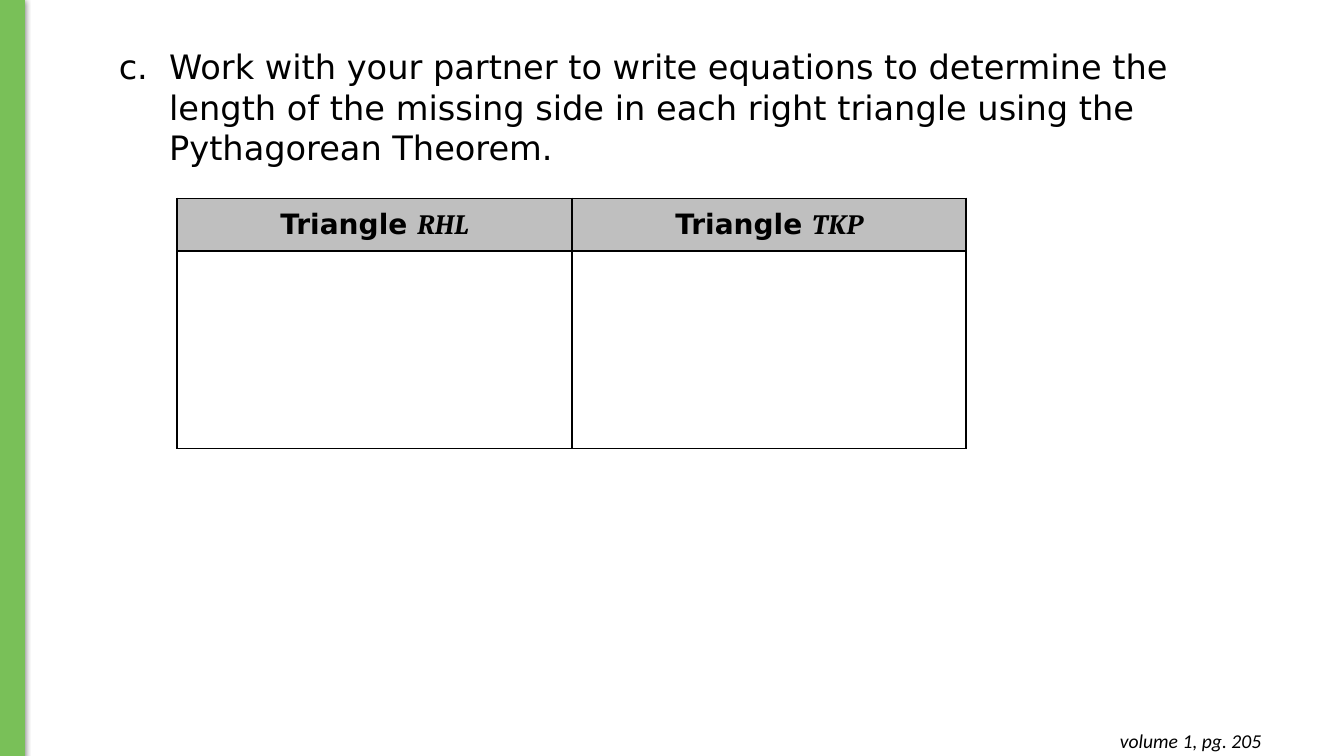
from dataclasses import dataclass

from lxml import etree
from pptx import Presentation
from pptx import util as u
from pptx.dml.color import RGBColor
from pptx.enum import shapes, text
from pptx.oxml import parse_xml
from pptx.oxml.ns import nsdecls, qn

WIDTH, HEIGHT = u.Inches(13.33), u.Inches(7.5)
BLACK = RGBColor(0x00, 0x00, 0x00)
GREEN = RGBColor(0x79, 0xC0, 0x58)
GREY = RGBColor(0xBF, 0xBF, 0xBF)
BODY_FONT, MATH_FONT, FOOTER_FONT = "DejaVu Sans", "Cambria", "Calibri"


@dataclass(frozen=True)
class Area:
    """A rectangle in percent of the slide's width and height."""
    left: float
    top: float
    width: float
    height: float

    def lengths(self) -> tuple[int, int, int, int]:
        return (int(WIDTH * self.left / 100), int(HEIGHT * self.top / 100),
                int(WIDTH * self.width / 100), int(HEIGHT * self.height / 100))


@dataclass(frozen=True)
class Span:
    words: str
    font: str
    size: float
    bold: bool = False
    italic: bool = False


BAR = Area(0, -0.13, 1.8, 100.13)
PROMPT = Area(4.35, 5.47, 88.6, 17.47)
TABLE = Area(13.2, 26.27, 58.7, 33.07)
FOOTER = Area(73, 95.07, 21.6, 5.87)
HEADER_SHARE = 0.21
TRIANGLES = ("RHL", "TKP")


def add_spans(para, *spans: Span) -> None:
    for span in spans:
        run = para.add_run()
        run.text = span.words
        run.font.name = span.font
        run.font.size = u.Pt(span.size)
        run.font.bold = span.bold
        run.font.italic = span.italic
        run.font.color.rgb = BLACK


def add_text(page, area: Area, span: Span):
    box = page.shapes.add_textbox(*area.lengths())
    box.text_frame.word_wrap = True
    box.text_frame.auto_size = text.MSO_AUTO_SIZE.SHAPE_TO_FIT_TEXT
    add_spans(box.text_frame.paragraphs[0], span)
    return box


def add_side_bar(page) -> None:
    bar = page.shapes.add_shape(shapes.MSO_SHAPE.RECTANGLE, *BAR.lengths())
    bar.fill.solid()
    bar.fill.fore_color.rgb = GREEN
    bar.line.color.rgb = GREEN
    bar.line.width = u.Pt(0.75)
    bar.shadow.inherit = False
    effects = bar._element.spPr.find(qn("a:effectLst"))
    effects.append(parse_xml(
        f'<a:outerShdw {nsdecls("a")} blurRad="{u.Pt(4.5)}" dist="{u.Pt(1.5)}" '
        'dir="5400000" rotWithShape="0"><a:srgbClr val="000000">'
        '<a:alpha val="50000"/></a:srgbClr></a:outerShdw>'))


def number_paragraph(para, start: int) -> None:
    """Give the paragraph a hanging letter, counted from a."""
    properties = para._p.get_or_add_pPr()
    properties.set("marL", str(u.Inches(1)))
    properties.set("indent", str(u.Inches(-0.5)))
    colour = etree.SubElement(properties, qn("a:buClr"))
    etree.SubElement(colour, qn("a:srgbClr"), val=str(BLACK))
    etree.SubElement(properties, qn("a:buFont"), typeface=BODY_FONT)
    etree.SubElement(properties, qn("a:buAutoNum"),
                     type="alphaLcPeriod", startAt=str(start))


def add_borders(cell) -> None:
    properties = cell._tc.get_or_add_tcPr()
    for side in ("lnL", "lnR", "lnT", "lnB"):
        line = etree.SubElement(properties, qn(f"a:{side}"), w=str(u.Pt(1.5)))
        fill = etree.SubElement(line, qn("a:solidFill"))
        etree.SubElement(fill, qn("a:srgbClr"), val=str(BLACK))


def add_triangle_table(page) -> None:
    table = page.shapes.add_table(2, len(TRIANGLES), *TABLE.lengths()).table
    table.first_row = table.horz_banding = False
    height = TABLE.lengths()[3]
    table.rows[0].height = int(height * HEADER_SHARE)
    table.rows[1].height = height - table.rows[0].height
    for cell in table.iter_cells():
        add_borders(cell)
        cell.fill.background()
    for column, triangle in enumerate(TRIANGLES):
        header = table.cell(0, column)
        header.fill.solid()
        header.fill.fore_color.rgb = GREY
        header.vertical_anchor = text.MSO_ANCHOR.MIDDLE
        para = header.text_frame.paragraphs[0]
        para.alignment = text.PP_ALIGN.CENTER
        add_spans(para, Span("Triangle ", BODY_FONT, 20, bold=True),
                  Span(triangle, MATH_FONT, 20, bold=True, italic=True))


def main() -> None:
    deck = Presentation()
    deck.slide_width, deck.slide_height = WIDTH, HEIGHT
    page = deck.slides.add_slide(deck.slide_layouts[6])
    add_side_bar(page)
    prompt = add_text(page, PROMPT, Span(
        "Work with your partner to write equations to determine the length of "
        "the missing side in each right triangle using the Pythagorean Theorem.",
        BODY_FONT, 24))
    number_paragraph(prompt.text_frame.paragraphs[0], start=3)
    add_triangle_table(page)
    footer = add_text(page, FOOTER,
                      Span("volume 1, pg. 205", FOOTER_FONT, 14, italic=True))
    footer.text_frame.margin_top = footer.text_frame.margin_bottom = u.Inches(0.1)
    footer.text_frame.paragraphs[0].alignment = text.PP_ALIGN.RIGHT
    deck.save("out.pptx")


if __name__ == "__main__":
    main()
